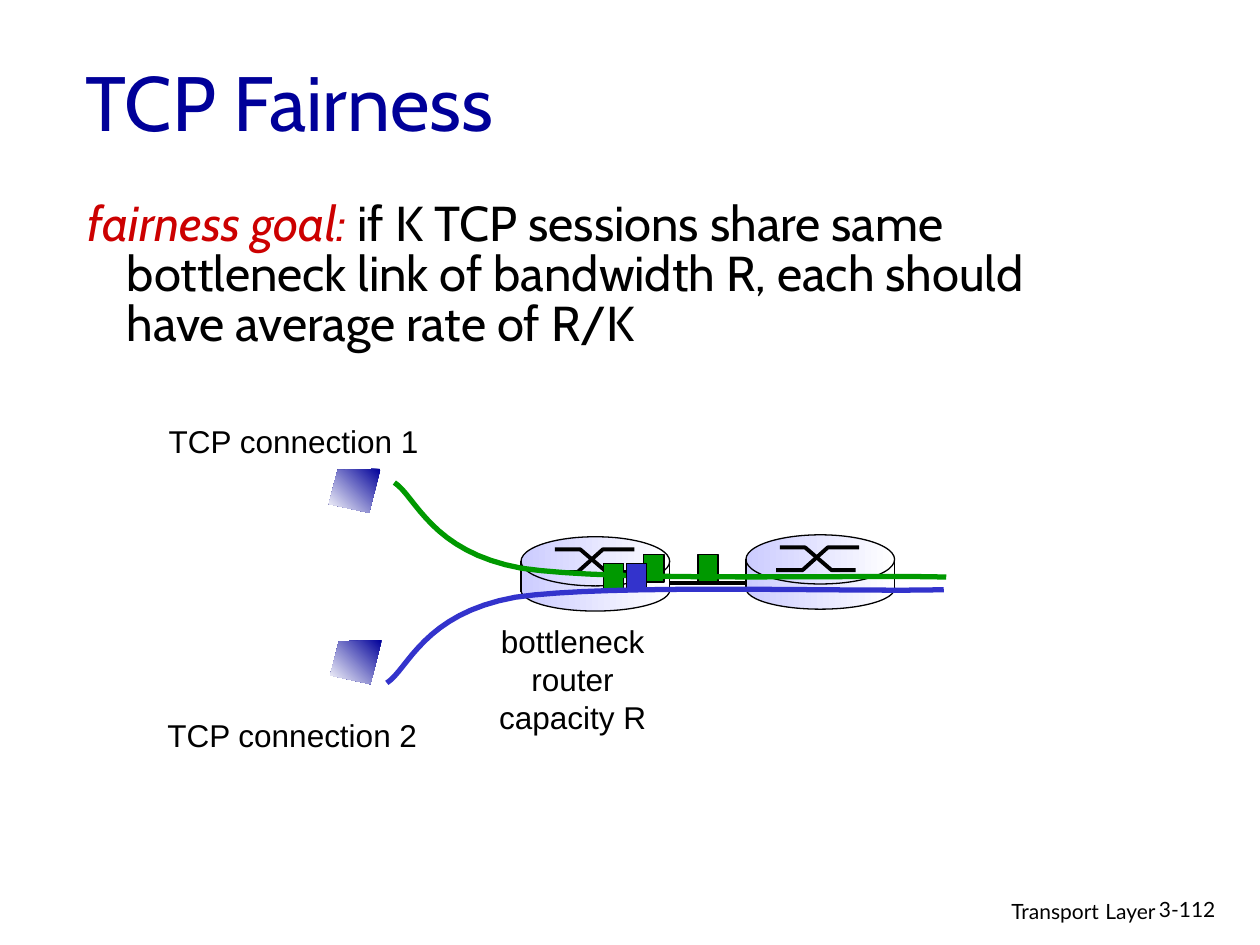
from dataclasses import dataclass
from lxml.etree import SubElement
from pptx import Presentation
from pptx.dml.color import RGBColor
from pptx.enum.shapes import MSO_CONNECTOR as Wire, MSO_SHAPE as Form
from pptx.enum.text import MSO_ANCHOR as Anchor, PP_ALIGN as Align
from pptx.oxml.ns import qn
from pptx.util import Inches, Pt

COLORS = {
    "ink": "000000", "navy": "000099", "red": "CC0000", "green": "009900",
    "blue": "3333CC", "pale": "CCCCFF", "white": "FFFFFF",
}
COLS, ROWS = 100, 75
STEPS = 16

Point = tuple[float, float]


@dataclass
class Label:
    lines: list[list[str]]
    box: tuple[float, float, float, float]
    size: float = 18
    face: str = "Arial"
    color: str = "ink"
    align: Align = Align.LEFT
    anchor: Anchor = Anchor.TOP
    wrap: bool = False


@dataclass
class Packet:
    left: float
    top: float
    color: str


@dataclass
class Flow:
    color: str
    start: Point
    curves: list[tuple[Point, Point, Point]]


deck = Presentation()
deck.slide_width, deck.slide_height = Inches(10), Inches(7.5)
slide = deck.slides.add_slide(deck.slide_layouts[6])
CELL = deck.slide_width / COLS


def grid(*marks: float) -> list[int]:
    return [round(mark * CELL) for mark in marks]


def tint(name: str) -> RGBColor:
    return RGBColor.from_string(COLORS[name])


def stroke(shape, color: str, width: float) -> None:
    shape.line.color.rgb = tint(color)
    shape.line.width = Pt(width)


def fade(shape, first: str, last: str, angle: float) -> None:
    shape.fill.gradient()
    shape.fill.gradient_angle = angle
    for stop, name, place in zip(shape.fill.gradient_stops, (first, last), (0, 1)):
        stop.color.rgb = tint(name)
        stop.position = place


def write(label: Label):
    frame = slide.shapes.add_textbox(*grid(*label.box)).text_frame
    frame.word_wrap = label.wrap
    frame.vertical_anchor = label.anchor
    for row, parts in enumerate(label.lines):
        para = frame.add_paragraph() if row else frame.paragraphs[0]
        para.alignment = label.align
        para.font.size = Pt(label.size)
        para.font.name = label.face
        para.font.color.rgb = tint(label.color)
        for part in parts:
            para.add_run().text = part
    return frame.paragraphs[0]


def wire(shapes, start: Point, end: Point, width: float) -> None:
    line = shapes.add_connector(Wire.STRAIGHT, *grid(*start, *end))
    stroke(line, "ink", width)
    SubElement(line._element.spPr, qn("a:effectLst"))


def trace(shapes, points: list[Point], close: bool = False):
    pen = shapes.build_freeform(*grid(*points[0]))
    pen.add_line_segments([tuple(grid(*spot)) for spot in points[1:]], close)
    shape = pen.convert_to_shape()
    shape.shadow.inherit = False
    return shape


def path(shapes, points: list[Point], color: str, width: float) -> None:
    shape = trace(shapes, points)
    shape.fill.background()
    stroke(shape, color, width)


def router(x: float, y: float) -> None:
    shapes = slide.shapes.add_group_shape().shapes
    parts = [(Form.OVAL, 2.6, 3.3), (Form.RECTANGLE, 2.3, 2), (Form.OVAL, 0, 3.9)]
    for form, drop, tall in parts:
        part = shapes.add_shape(form, *grid(x, y + drop, 11.8, tall))
        part.shadow.inherit = False
        fade(part, "pale", "white", 0)
        if form == Form.OVAL:
            stroke(part, "ink", 0.75)
        else:
            part.line.fill.background()
    low, high = y + 2.8, y + 1
    for marks, ends in (((2.4, 4.5, 6.5, 9), (low, high)),
                        ((2.7, 4.7, 6.8, 8.7), (high, low))):
        rise = (ends[0], ends[0], ends[1], ends[1])
        path(shapes, [(x + dx, dy) for dx, dy in zip(marks, rise)], "ink", 2.25)
    for side in (x, x + 11.8):
        wire(shapes, (side, y + 1.9), (side, y + 4.4), 0.75)


def packet(item: Packet) -> None:
    shape = slide.shapes.add_shape(
        Form.RECTANGLE, *grid(item.left, item.top, 1.6, 2.2))
    shape.shadow.inherit = False
    shape.fill.solid()
    shape.fill.fore_color.rgb = tint(item.color)
    stroke(shape, "ink", 0.75)


def bend(a: Point, b: Point, c: Point, d: Point) -> list[Point]:
    spots = []
    for step in range(1, STEPS + 1):
        t = step / STEPS
        u = 1 - t
        spots.append(tuple(
            u**3 * p + 3 * u * u * t * q + 3 * u * t * t * r + t**3 * s
            for p, q, r, s in zip(a, b, c, d)))
    return spots


def stream(flow: Flow) -> None:
    points = [flow.start]
    for curve in flow.curves:
        points += bend(points[-1], *curve)
    path(slide.shapes, points, flow.color, 3)


def screen(x: float, y: float) -> None:
    edge = [(4.1, 0), (0.7, 0.1), (0, 2.8), (3.2, 3.5)]
    shape = trace(slide.shapes, [(x + dx, y + dy) for dx, dy in edge], True)
    fade(shape, "navy", "white", 225)
    shape.line.fill.background()


foot = write(Label([["Transport", " ", "Layer"]], (61, 70.5, 31.7, 3.1),
                   12, "Lato", align=Align.RIGHT, wrap=True))
foot.runs[1].font.size = Pt(14)
write(Label([["3-112"]], (91, 70.7, 7.4, 3), 12, "Lato"))

wire(slide.shapes, (53.1, 46.25), (59.2, 46.25), 2.25)
router(41.35, 42.6)
router(59.2, 42.45)

goal = write(Label(
    [["fairness goal:", " if K TCP sessions share same bottleneck link of "
      "bandwidth R, each should have average rate of R/K"]],
    (6, 15.5, 83.3, 24), 28, "Cabin", wrap=True))
goal.line_spacing = 0.85
hang = grid(3.1)[0]
props = goal._p.get_or_add_pPr()
props.set("marL", str(hang))
props.set("indent", str(-hang))
goal.runs[0].font.italic = True
goal.runs[0].font.color.rgb = tint("red")

for left, top in ((55.4, 44), (47.9, 44.7), (51.1, 44)):
    packet(Packet(left, top, "green"))
write(Label([["TCP connection 1"]], (12.4, 33, 21.9, 4)))
write(Label([["bottleneck"], ["router"], ["capacity R"]],
            (38.6, 48.9, 13.7, 10), align=Align.CENTER))
stream(Flow("green", (31.3, 38.3), [
    ((33, 39.4), (34.2, 43.8), (41.4, 45.1)),
    ((48.7, 46.2), (68.1, 45.6), (75.1, 45.8))]))
packet(Packet(49.7, 44.7, "blue"))
stream(Flow("blue", (30.7, 54.2), [
    ((32.4, 53.1), (33.6, 48.7), (40.9, 47.4)),
    ((48.3, 46.3), (67.9, 47), (74.9, 46.8))]))
write(Label([["TCP Fairness"]], (5.8, 1.7, 85, 12.5), 44, "Cabin", "navy",
            anchor=Anchor.MIDDLE, wrap=True))
write(Label([["TCP connection 2"]], (12.3, 56.3, 21.9, 4)))
screen(26.1, 37.2)
screen(26.2, 50.8)

deck.save("out.pptx")
